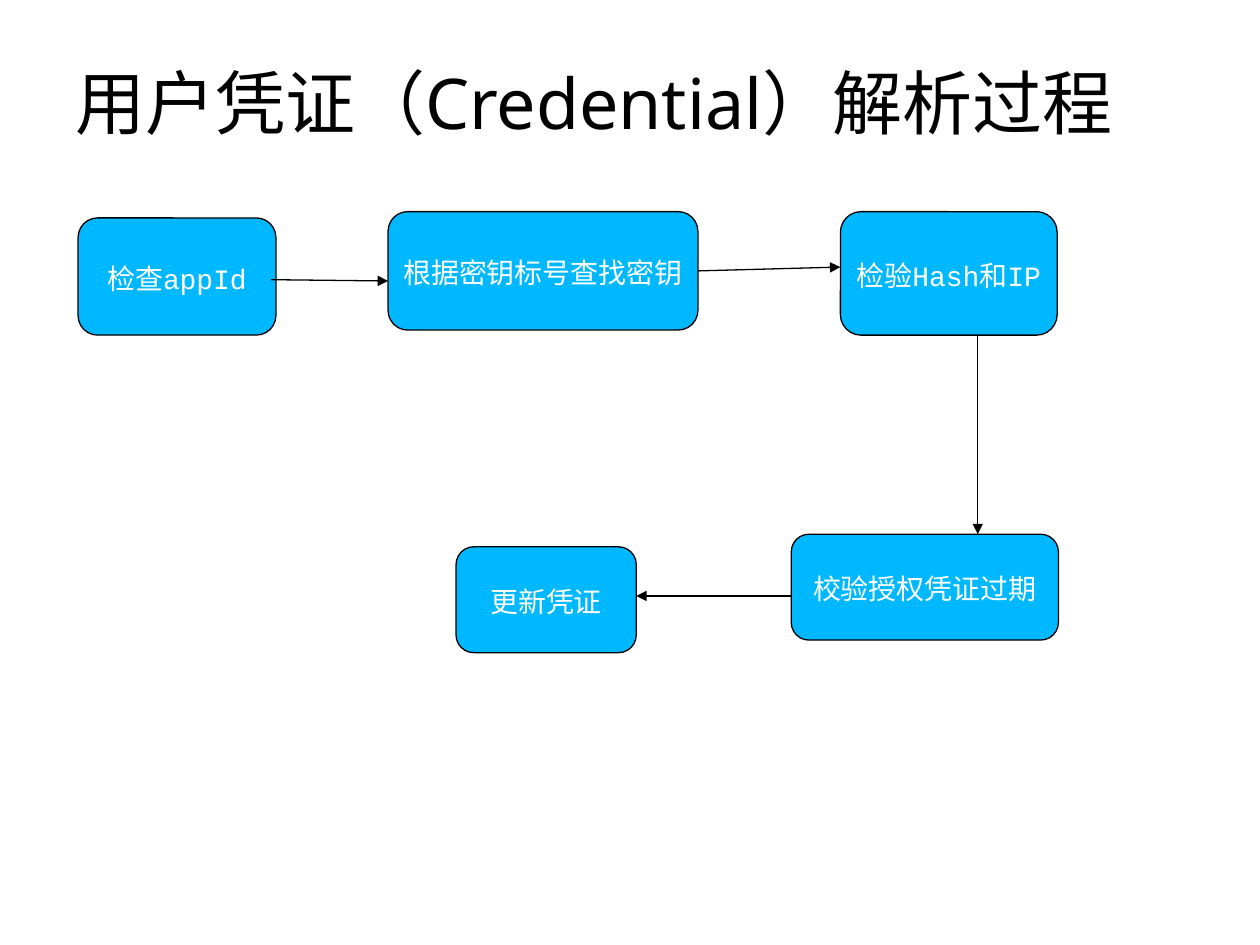
"""Build the slide on the credential parsing process."""
import pptx
import pptx.dml.color
import pptx.enum.shapes
import pptx.enum.text
import pptx.oxml
import pptx.oxml.ns
import pptx.util

SLIDE_WIDTH, SLIDE_HEIGHT = 10, 7.5
COLUMNS, ROWS = 100, 75
BLACK, WHITE, BLUE = "000000", "FFFFFF", "00B8FF"
TITLE = "用户凭证（Credential）解析过程"

STEPS = {
    "check_app": ("检查appId", 6.2, 17.3, 15.7, 9.3),
    "find_key": ("根据密钥标号查找密钥", 30.8, 16.8, 24.6, 9.4),
    "update": ("更新凭证", 36.2, 43.4, 14.3, 8.4),
    "check_expiry": ("校验授权凭证过期", 62.8, 42.4, 21.2, 8.4),
    "check_hash": ("检验Hash和IP", 66.7, 16.8, 17.2, 9.8),
}
ARROWS = [
    ((21.5, 22.2), (30.8, 22.3), None),
    ((55.4, 21.7), (66.7, 21.2), ("find_key", 3)),
    ((77.6, 26.7), (77.6, 42.4), None),
    ((62.8, 47.3), (50.5, 47.3), None),
]


def column(number):
    """Turn grid columns into a length."""
    return pptx.util.Inches(number * SLIDE_WIDTH / COLUMNS)


def row(number):
    """Turn grid rows into a length."""
    return pptx.util.Inches(number * SLIDE_HEIGHT / ROWS)


def colour(value):
    """Turn a hex string into a colour."""
    return pptx.dml.color.RGBColor.from_string(value)


def apply_format(target, values):
    """Set each attribute in a dict of format values."""
    for name, value in values.items():
        setattr(target, name, value)


def set_line(line):
    """Give an outline or connector the thin black line."""
    line.color.rgb = colour(BLACK)
    line.width = pptx.util.Pt(0.75)


def write_text(shape, text, frame_format, paragraph_format, font_format, hex_value):
    """Write one formatted paragraph in the middle of a shape's height."""
    frame = shape.text_frame
    middle = pptx.enum.text.MSO_ANCHOR.MIDDLE
    apply_format(frame, {"vertical_anchor": middle, **frame_format})
    paragraph = frame.paragraphs[0]
    apply_format(paragraph, paragraph_format)
    run = paragraph.add_run()
    run.text = text
    apply_format(run.font, font_format)
    run.font.color.rgb = colour(hex_value)


def add_title(slide):
    """Add the slide's heading."""
    shape = slide.shapes.add_textbox(column(5), row(3), column(90), row(10.1))
    write_text(shape, TITLE, {"word_wrap": True}, {},
               {"size": pptx.util.Pt(40), "name": "Noto Sans"}, BLACK)


def add_step(slide, text, left, top, width, height):
    """Add a rounded box for one step of the process."""
    shape = slide.shapes.add_shape(
        pptx.enum.shapes.MSO_SHAPE.ROUNDED_RECTANGLE,
        column(left), row(top), column(width), row(height))
    shape.shadow.inherit = False
    shape.fill.solid()
    shape.fill.fore_color.rgb = colour(BLUE)
    set_line(shape.line)
    write_text(shape, text, {"word_wrap": False},
               {"alignment": pptx.enum.text.PP_ALIGN.CENTER, "line_spacing": 1.1},
               {"size": pptx.util.Pt(16), "name": "Courier New"}, WHITE)
    return shape


def add_arrow(slide, start, end, joint, boxes):
    """Add an arrow, joined to a box where it starts at a side's middle."""
    connector = slide.shapes.add_connector(
        pptx.enum.shapes.MSO_CONNECTOR.STRAIGHT,
        column(start[0]), row(start[1]), column(end[0]), row(end[1]))
    if joint:
        name, side = joint
        connector.begin_connect(boxes[name], side)
    set_line(connector.line)
    head = pptx.oxml.parse_xml(
        f'<a:tailEnd {pptx.oxml.ns.nsdecls("a")} type="triangle"/>')
    connector.line._get_or_add_ln().append(head)
    effects = pptx.oxml.parse_xml(f'<a:effectLst {pptx.oxml.ns.nsdecls("a")}/>')
    connector._element.spPr.append(effects)


def main():
    """Build and save the presentation."""
    presentation = pptx.Presentation()
    apply_format(presentation, {"slide_width": column(COLUMNS),
                                "slide_height": row(ROWS)})
    slide = presentation.slides.add_slide(presentation.slide_layouts[6])
    add_title(slide)
    boxes = {name: add_step(slide, *step) for name, step in STEPS.items()}
    for start, end, joint in ARROWS:
        add_arrow(slide, start, end, joint, boxes)
    presentation.save("out.pptx")


if __name__ == "__main__":
    main()
